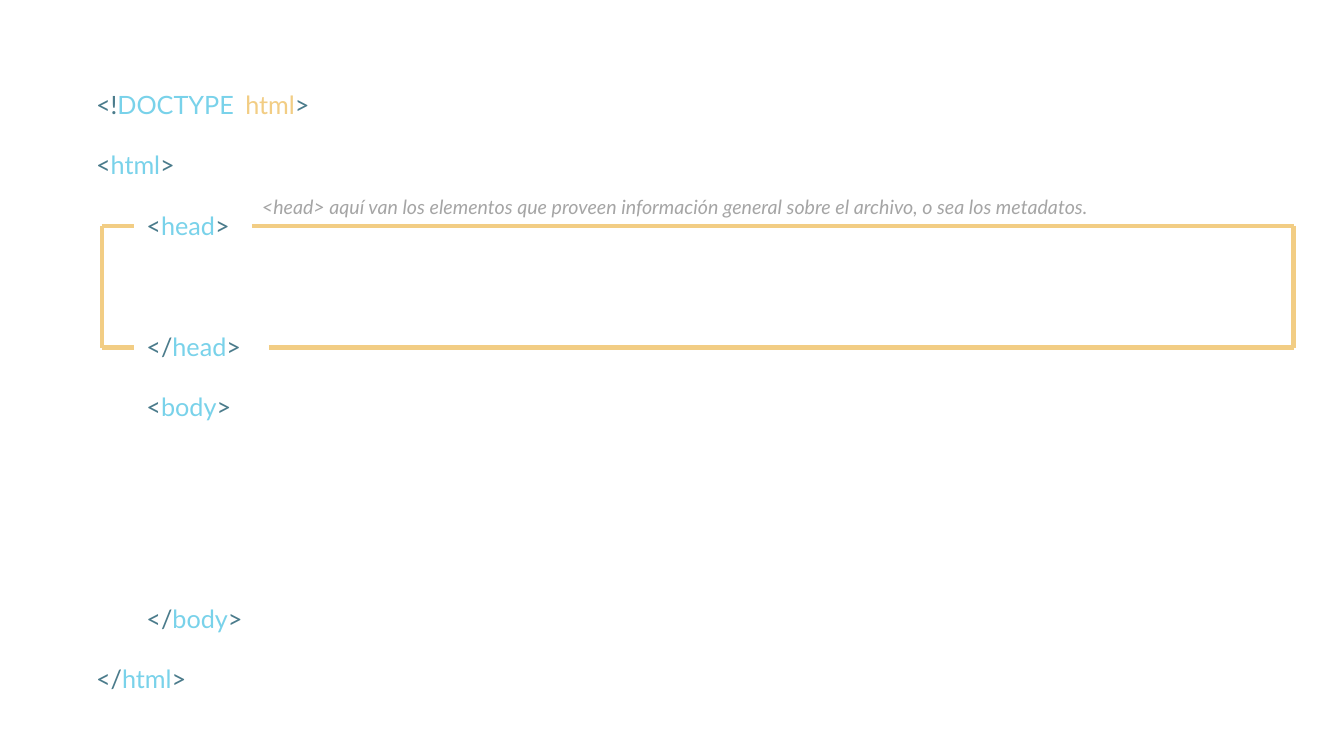
import pptx
import pptx.util
import pptx.dml.color
import pptx.enum.shapes
import pptx.enum.text
import pptx.oxml.ns
import lxml.etree

PX = 9525
FONT = "Lato"
LINE_HEIGHT = 21.6
BRACKET = pptx.dml.color.RGBColor(0x4A, 0x7B, 0x8B)
TAG = pptx.dml.color.RGBColor(0x79, 0xD2, 0xEA)
ACCENT = pptx.dml.color.RGBColor(0xF2, 0xCD, 0x84)
NOTE = pptx.dml.color.RGBColor(0xA5, 0xA5, 0xA5)


def add_text_frame(left, top, width, height):
    box = slide.shapes.add_textbox(left * PX, top * PX, width * PX, height * PX)
    box.text_frame.word_wrap = True
    box.text_frame.auto_size = pptx.enum.text.MSO_AUTO_SIZE.SHAPE_TO_FIT_TEXT
    return box.text_frame


def add_run(paragraph, text, color):
    run = paragraph.add_run()
    run.text = text
    run.font.color.rgb = color
    return run


presentation = pptx.Presentation()
presentation.slide_width = 1280 * PX
presentation.slide_height = 720 * PX
slide = presentation.slides.add_slide(presentation.slide_layouts[6])

code_lines = [
    ("<!", "DOCTYPE", 0, 0),
    ("<", "html", 0, 1),
    ("<", "head", 48, 1),
    ("</", "head", 48, 3),
    ("<", "body", 48, 1),
    ("</", "body", 48, 6),
    ("</", "html", 0, 1),
]
code = add_text_frame(82, 80, 1132, 591)
for index, (opening, tag, indent, lines_before) in enumerate(code_lines):
    paragraph = code.add_paragraph() if index else code.paragraphs[0]
    if indent:
        paragraph._p.get_or_add_pPr().set("marL", str(indent * PX))
    if lines_before:
        paragraph.space_before = pptx.util.Pt(lines_before * LINE_HEIGHT)
    paragraph.font.name = FONT
    paragraph.font.size = pptx.util.Pt(18)
    add_run(paragraph, opening, BRACKET)
    add_run(paragraph, tag, TAG)
    if tag == "DOCTYPE":
        gap = add_run(paragraph, " ", TAG)
        gap._r.get_or_add_rPr().set("spc", "350")
        add_run(paragraph, "html", ACCENT)
    add_run(paragraph, ">", BRACKET)

left, right, top, bottom = 97, 1232, 215, 331
frame_lines = [
    (left, top, left, bottom),
    (left, top, 128, top),
    (256, bottom, right, bottom),
    (240, top, right, top),
    (left, bottom, 128, bottom),
    (right, top, right, bottom),
]
for ends in frame_lines:
    connector = slide.shapes.add_connector(
        pptx.enum.shapes.MSO_CONNECTOR.STRAIGHT, *[end * PX for end in ends]
    )
    connector.line.color.rgb = ACCENT
    connector.line.width = pptx.util.Pt(3)
    lxml.etree.SubElement(connector._element.spPr, pptx.oxml.ns.qn("a:effectLst"))

note = add_text_frame(240, 181, 884, 33).paragraphs[0]
note.font.name = FONT
note.font.size = pptx.util.Pt(14)
note.font.italic = True
add_run(
    note,
    "<head> aquí van los elementos que proveen información general sobre el archivo, o sea los metadatos.",
    NOTE,
)

presentation.save("out.pptx")
